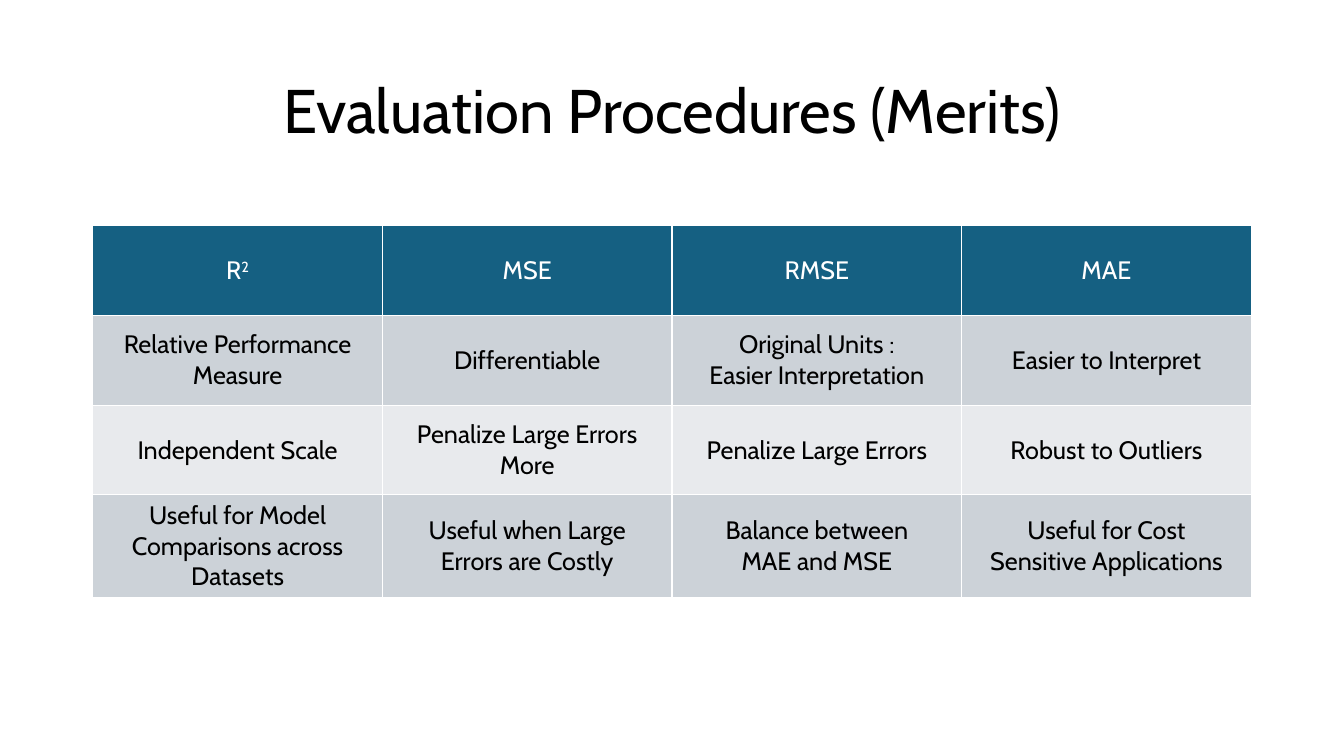
from dataclasses import dataclass

from pptx import Presentation
from pptx import util as u
from pptx.dml.color import RGBColor
from pptx.enum import text
from pptx.oxml import parse_xml
from pptx.oxml.ns import nsdecls

TITLE = "Evaluation Procedures (Merits)"
SUPERSCRIPTS = {"R": "2"}
MERITS = [
    ("R", "MSE", "RMSE", "MAE"),
    ("Relative Performance\nMeasure", "Differentiable",
     "Original Units :\nEasier Interpretation", "Easier to Interpret"),
    ("Independent Scale", "Penalize Large Errors\nMore",
     "Penalize Large Errors", "Robust to Outliers"),
    ("Useful for Model\nComparisons across\nDatasets", "Useful when Large\nErrors are Costly",
     "Balance between\nMAE and MSE", "Useful for Cost\nSensitive Applications"),
]


@dataclass(frozen=True)
class Theme:
    font: str = "Cabin"
    title_size: int = 44
    table_size: int = 18
    ink: str = "000000"
    header_ink: str = "FFFFFF"
    header_fill: str = "156082"
    bands: tuple = ("CCD2D8", "E8EAED")
    border: str = "FFFFFF"
    border_width: int = 1


THEME = Theme()
WIDTH, HEIGHT = u.Inches(13.33), u.Inches(7.5)
LEFT = u.Inches(0.92)
CONTENT_WIDTH = WIDTH - 2 * LEFT
TITLE_TOP, TITLE_HEIGHT = u.Inches(0.4), u.Inches(1.45)
TABLE_TOP, ROW_HEIGHT = u.Inches(2.24), u.Inches(0.89)


def format_text(text_frame, size, color):
    for paragraph in text_frame.paragraphs:
        paragraph.alignment = text.PP_ALIGN.CENTER
        for run in paragraph.runs:
            run.font.name = THEME.font
            run.font.size = u.Pt(size)
            run.font.bold = False
            run.font.color.rgb = RGBColor.from_string(color)


def add_borders(cell):
    properties = cell._tc.get_or_add_tcPr()
    for side in ("L", "R", "T", "B"):
        properties.append(parse_xml(
            f'<a:ln{side} {nsdecls("a")} w="{u.Pt(THEME.border_width)}"><a:solidFill>'
            f'<a:srgbClr val="{THEME.border}"/></a:solidFill></a:ln{side}>'))


def add_title(slide):
    title = slide.shapes.title
    title.left, title.top = LEFT, TITLE_TOP
    title.width, title.height = CONTENT_WIDTH, TITLE_HEIGHT
    title.text_frame.text = TITLE
    title.text_frame.vertical_anchor = text.MSO_ANCHOR.MIDDLE
    title.text_frame.paragraphs[0].line_spacing = 0.9
    format_text(title.text_frame, THEME.title_size, THEME.ink)


def fill_cell(cell, content, row):
    header = row == 0
    cell.text_frame.text = content
    if header and content in SUPERSCRIPTS:
        power = cell.text_frame.paragraphs[0].add_run()
        power.text = SUPERSCRIPTS[content]
        power._r.get_or_add_rPr().set("baseline", "30000")
    cell.vertical_anchor = text.MSO_ANCHOR.MIDDLE
    format_text(cell.text_frame, THEME.table_size, THEME.header_ink if header else THEME.ink)
    add_borders(cell)
    band = THEME.bands[(row - 1) % len(THEME.bands)]
    cell.fill.solid()
    cell.fill.fore_color.rgb = RGBColor.from_string(THEME.header_fill if header else band)


def add_merits_table(slide):
    rows, columns = len(MERITS), len(MERITS[0])
    table = slide.shapes.add_table(
        rows, columns, LEFT, TABLE_TOP, CONTENT_WIDTH, ROW_HEIGHT * rows).table
    for row, contents in enumerate(MERITS):
        for column, content in enumerate(contents):
            fill_cell(table.cell(row, column), content, row)


def main():
    presentation = Presentation()
    presentation.slide_width, presentation.slide_height = WIDTH, HEIGHT
    slide = presentation.slides.add_slide(presentation.slide_layouts[5])
    add_title(slide)
    add_merits_table(slide)
    presentation.save("out.pptx")


if __name__ == "__main__":
    main()
